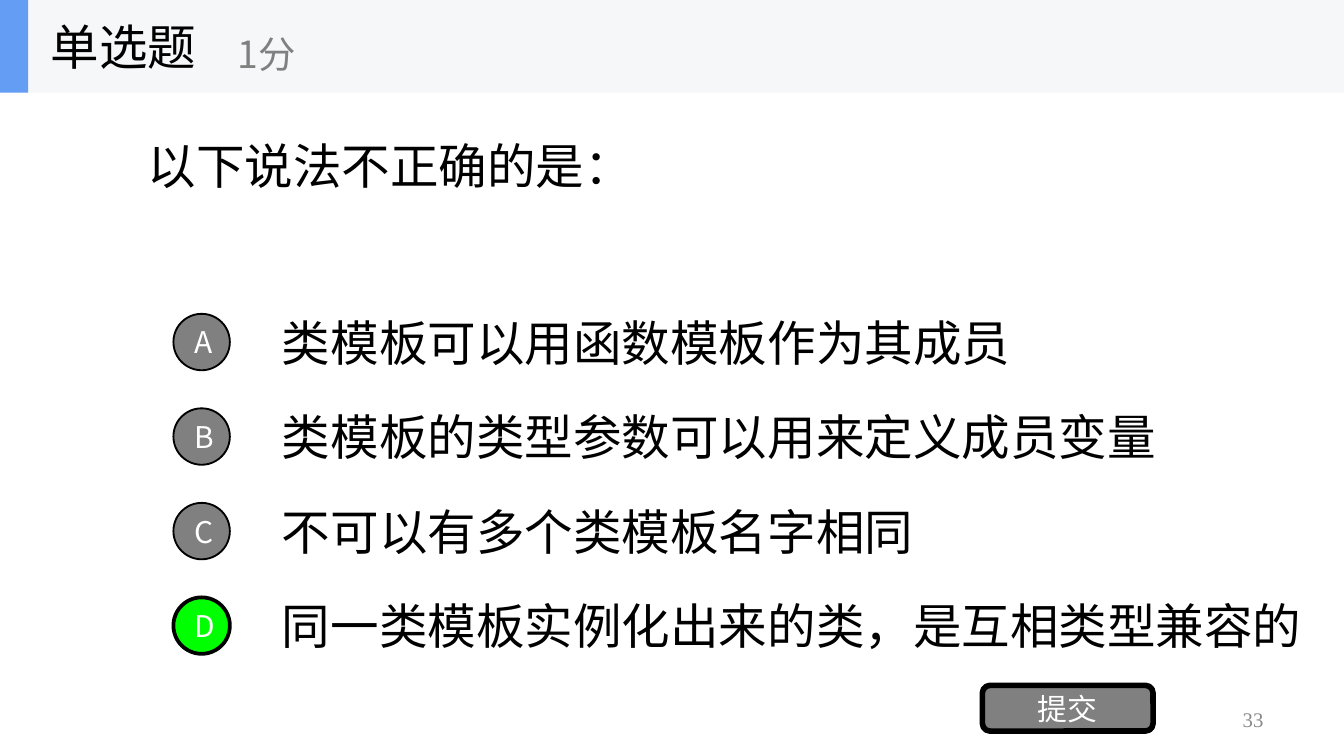
from lxml import etree
from pptx import Presentation
from pptx import util as u
from pptx.dml.color import RGBColor
from pptx.enum import shapes, text
from pptx.oxml import ns

SANS, SERIF = "Noto Sans CJK SC", "Times New Roman"
BLACK, WHITE, GRAY, GREEN = "000000", "FFFFFF", "808080", "00FF00"
LEFT, CENTER, RIGHT = text.PP_ALIGN.LEFT, text.PP_ALIGN.CENTER, text.PP_ALIGN.RIGHT

# Content
QUESTION_TYPE = "单选题"
SCORE = "1分"
QUESTION = "以下说法不正确的是："
OPTIONS = [  # letter, wording, box width, chosen
    ("A", "类模板可以用函数模板作为其成员", 7, False),
    ("B", "类模板的类型参数可以用来定义成员变量", 7.57, False),
    ("C", "不可以有多个类模板名字相同", 7, False),
    ("D", "同一类模板实例化出来的类，是互相类型兼容的", 7.86, True),
]
SUBMIT = "提交"
PAGE_NUMBER = "33"

# Grid, in inches, on a 16:9 slide
WIDTH = 10
HEIGHT = WIDTH * 9 / 16
HEADER_HEIGHT = 0.69
FIRST_ROW, LAST_ROW, ROW_HEIGHT = 2.28, 4.39, 0.53
ROW_STEP = (LAST_ROW - FIRST_ROW) / (len(OPTIONS) - 1)
BADGE_LEFT, BADGE_SIZE, OPTION_LEFT = 1.29, 0.42, 2


def color(value):
    return RGBColor.from_string(value)


def write(box, words, size, ink, align=LEFT, font=SANS):
    frame = box.text_frame
    frame.word_wrap = True
    frame.vertical_anchor = text.MSO_ANCHOR.MIDDLE
    para = frame.paragraphs[0]
    para.text = words
    para.alignment = align
    para.font.size = u.Pt(size)
    para.font.color.rgb = color(ink)
    para.font.name = font
    # Chinese characters take their font from the East Asian slot
    defaults = para._p.pPr.find(ns.qn("a:defRPr"))
    etree.SubElement(defaults, ns.qn("a:ea")).set("typeface", font)
    return para


def add_text(parent, place, *style):
    box = parent.add_textbox(*map(u.Inches, place))
    return write(box, *style)


def add_block(parent, kind, place, fill, line_width=0):
    block = parent.add_shape(kind, *map(u.Inches, place))
    block.shadow.inherit = False
    block.fill.solid()
    block.fill.fore_color.rgb = color(fill)
    if line_width:
        block.line.color.rgb = color(BLACK)
        block.line.width = u.Pt(line_width)
    else:
        block.line.fill.background()
    return block


deck = Presentation()
deck.slide_width, deck.slide_height = u.Inches(WIDTH), u.Inches(HEIGHT)
page = deck.slides.add_slide(deck.slide_layouts[6])
canvas = page.shapes
kinds = shapes.MSO_SHAPE

# Page number and question
number = add_text(canvas, (7.17, 5.21, 2.33, 0.3), PAGE_NUMBER, 11.1, "898989", RIGHT, SERIF)
number.line_spacing = 0.9
add_text(canvas, (1, 0.35, 8, 1.76), QUESTION, 26, BLACK)

# Answer options with their letter badges
for row, (letter, wording, width, chosen) in enumerate(OPTIONS):
    top = FIRST_ROW + row * ROW_STEP
    add_text(canvas, (OPTION_LEFT, top, width, ROW_HEIGHT), wording, 26, BLACK)
    badge_top = top + (ROW_HEIGHT - BADGE_SIZE) / 2
    badge = add_block(canvas, kinds.OVAL, (BADGE_LEFT, badge_top, BADGE_SIZE, BADGE_SIZE),
                      GREEN if chosen else GRAY, 2 if chosen else 1)
    write(badge, letter, 16, WHITE, CENTER)

# Submit button
button = add_block(canvas, kinds.ROUNDED_RECTANGLE, (7.31, 5.1, 1.27, 0.34), GRAY, 3)
write(button, SUBMIT, 16, WHITE, CENTER)

# Header band
header = canvas.add_group_shape().shapes
add_block(header, kinds.RECTANGLE, (0, 0, WIDTH, HEADER_HEIGHT), "F6F7F8")
add_block(header, kinds.RECTANGLE, (0, 0, 0.21, HEADER_HEIGHT), "639EF4")
add_text(header, (0.28, 0, 2.08, HEADER_HEIGHT), QUESTION_TYPE, 26, BLACK)
add_text(header, (1.67, 0.12, 2.5, 0.56), SCORE, 20, GRAY)

deck.save("out.pptx")
